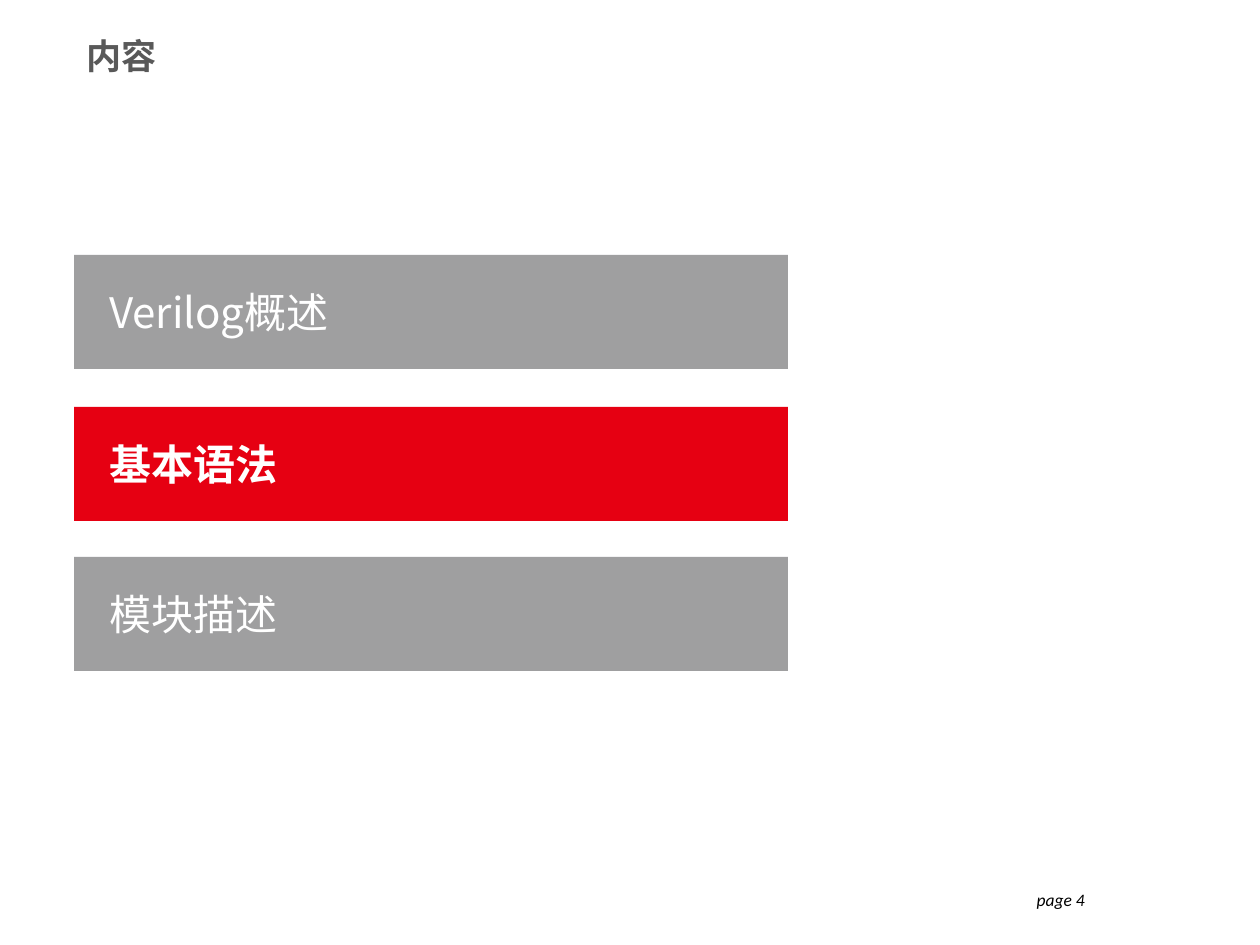
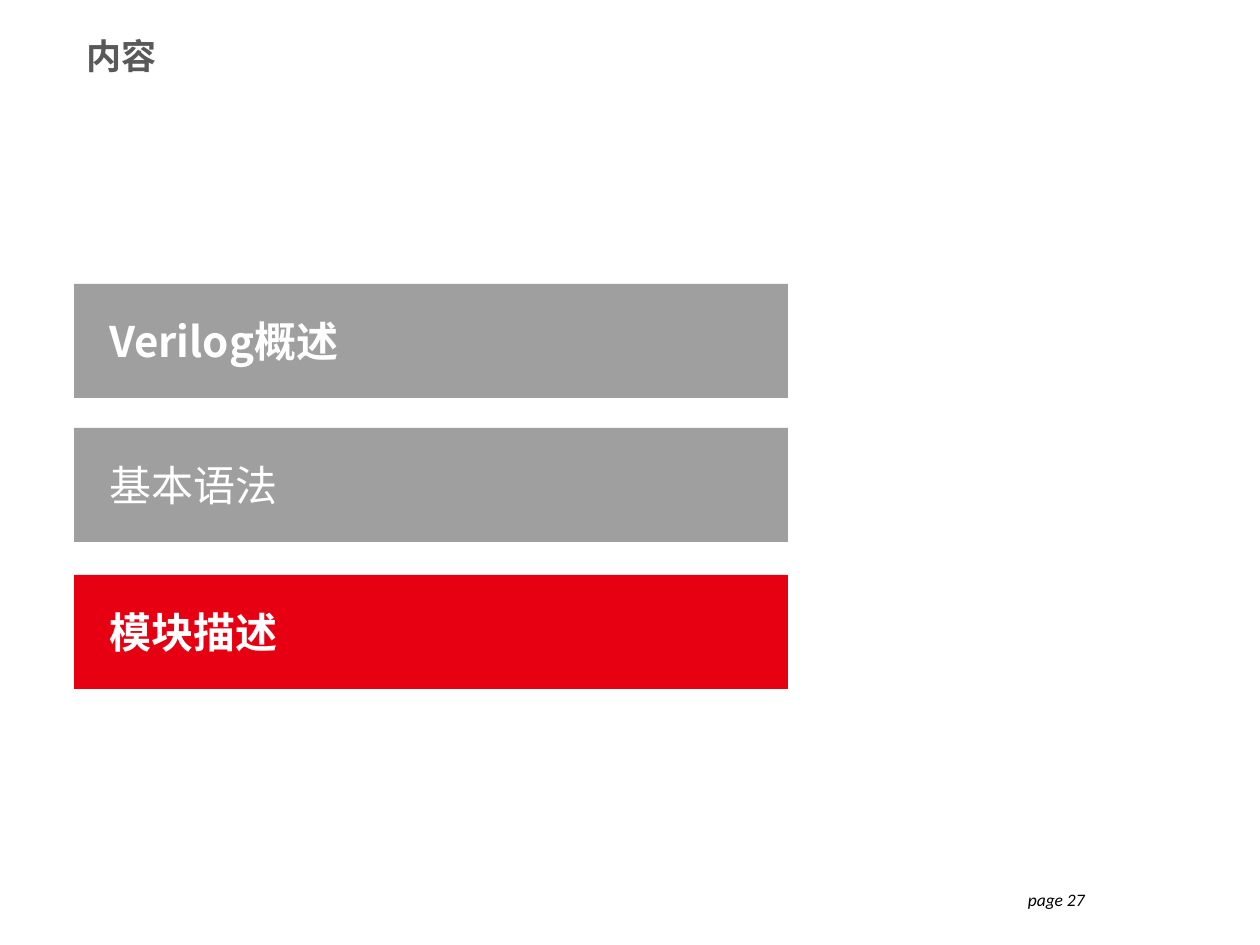
from dataclasses import dataclass

from lxml.etree import SubElement
from pptx import Presentation
from pptx.dml.color import RGBColor
from pptx.enum.shapes import MSO_SHAPE
from pptx.enum.text import MSO_ANCHOR, PP_ALIGN
from pptx.oxml.ns import qn
from pptx.util import Emu, Pt

PX_PER_INCH = 126
BLANK_LAYOUT = 6


@dataclass(frozen=True)
class Theme:
    heading_font: str = "Noto Sans CJK SC"
    footer_font: str = "Calibri"
    heading_color: str = "595959"
    footer_color: str = "000000"
    band_text: str = "FFFFFF"
    band_color: str = "9F9FA0"
    current_color: str = "E60012"
    heading_size: int = 20
    band_size: int = 24
    footer_size: int = 10


THEME = Theme()
CHAPTERS = ["Verilog概述", "基本语法", "模块描述"]
BAND_LEFT, BAND_WIDTH, BAND_HEIGHT = 74, 714, 114

# Per page: number, top of each band, current chapter, chapters in bold
AGENDAS = [
    (4, [255, 407, 557], 1, {1}),
    (27, [284, 428, 575], 2, {0, 2}),
]


def px(length):
    return Emu(round(length * 914400 / PX_PER_INCH))


def apply_format(target, formats):
    for name, value in formats.items():
        setattr(target, name, value)


def write_text(box, text, color, font_format, frame_format, align=PP_ALIGN.LEFT):
    apply_format(box.text_frame, {"word_wrap": True, **frame_format})
    para = box.text_frame.paragraphs[0]
    para.alignment = align
    span = para.add_run()
    span.text = text
    apply_format(span.font, font_format)
    span.font.color.rgb = RGBColor.from_string(color)
    # Chinese characters take their typeface from the East Asian slot
    east_asian = SubElement(span.font._element, qn("a:ea"))
    east_asian.set("typeface", font_format["name"])


def add_heading(page, text):
    box = page.shapes.add_textbox(px(74), px(26), px(784), px(59))
    font_format = {"name": THEME.heading_font, "size": Pt(THEME.heading_size), "bold": True}
    write_text(box, text, THEME.heading_color, font_format,
               {"vertical_anchor": MSO_ANCHOR.MIDDLE})


def add_page_number(page, number):
    box = page.shapes.add_textbox(px(803), px(883), px(294), px(66))
    font_format = {"name": THEME.footer_font, "size": Pt(THEME.footer_size), "italic": True}
    write_text(box, f"page {number}", THEME.footer_color, font_format,
               {"vertical_anchor": MSO_ANCHOR.TOP}, PP_ALIGN.RIGHT)


def add_band(page, text, top, is_current, is_bold):
    band = page.shapes.add_shape(MSO_SHAPE.RECTANGLE, px(BAND_LEFT), px(top),
                                 px(BAND_WIDTH), px(BAND_HEIGHT))
    band.shadow.inherit = False
    band.fill.solid()
    band.fill.fore_color.rgb = RGBColor.from_string(
        THEME.current_color if is_current else THEME.band_color)
    band.line.fill.background()
    font_format = {"name": THEME.heading_font, "size": Pt(THEME.band_size), "bold": is_bold}
    frame_format = {
        "vertical_anchor": MSO_ANCHOR.MIDDLE,
        "margin_left": px(35),
        "margin_right": px(15),
        "margin_top": 0,
        "margin_bottom": 0,
    }
    write_text(band, text, THEME.band_text, font_format, frame_format)


def add_agenda(deck, number, tops, current, bold_chapters):
    page = deck.slides.add_slide(deck.slide_layouts[BLANK_LAYOUT])
    add_page_number(page, number)
    add_heading(page, "内容")
    for index, (chapter, top) in enumerate(zip(CHAPTERS, tops)):
        add_band(page, chapter, top, index == current, index in bold_chapters)


def main():
    deck = Presentation()
    apply_format(deck, {"slide_width": px(1260), "slide_height": px(945)})
    for agenda in AGENDAS:
        add_agenda(deck, *agenda)
    deck.save("out.pptx")


if __name__ == "__main__":
    main()
